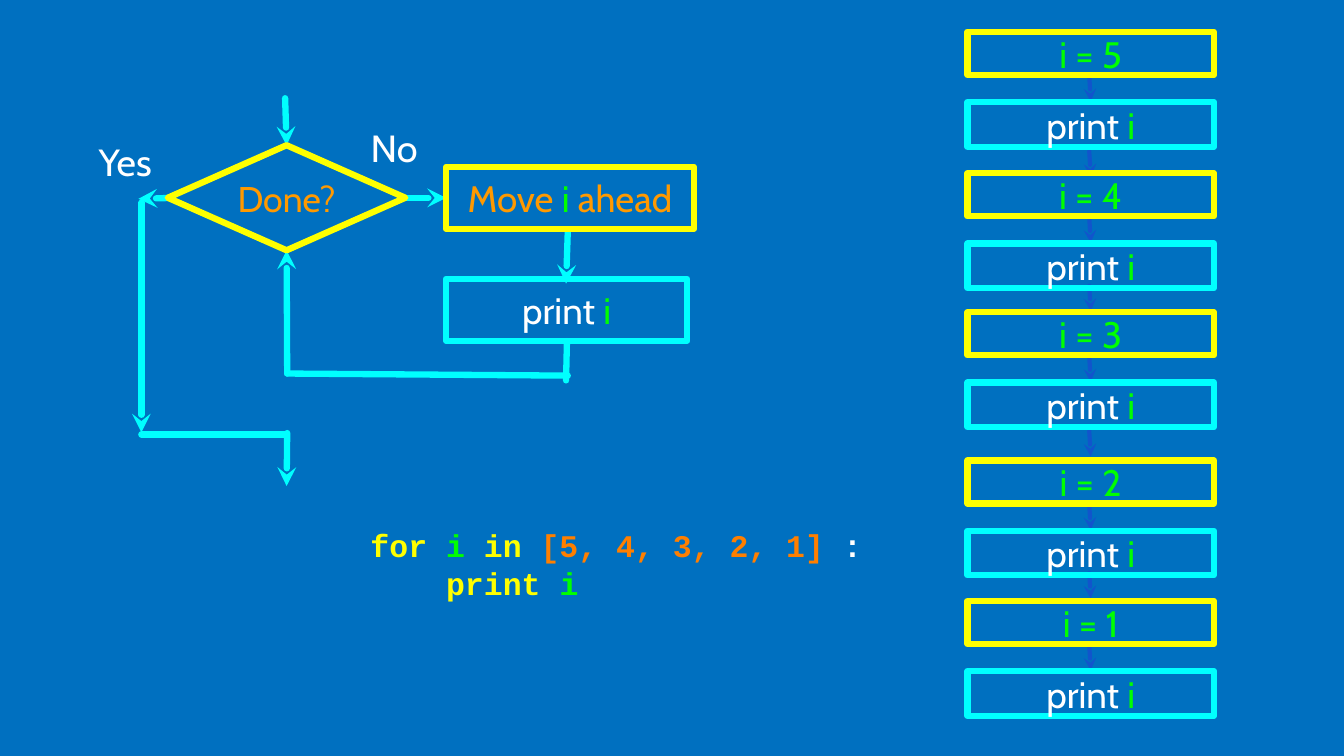
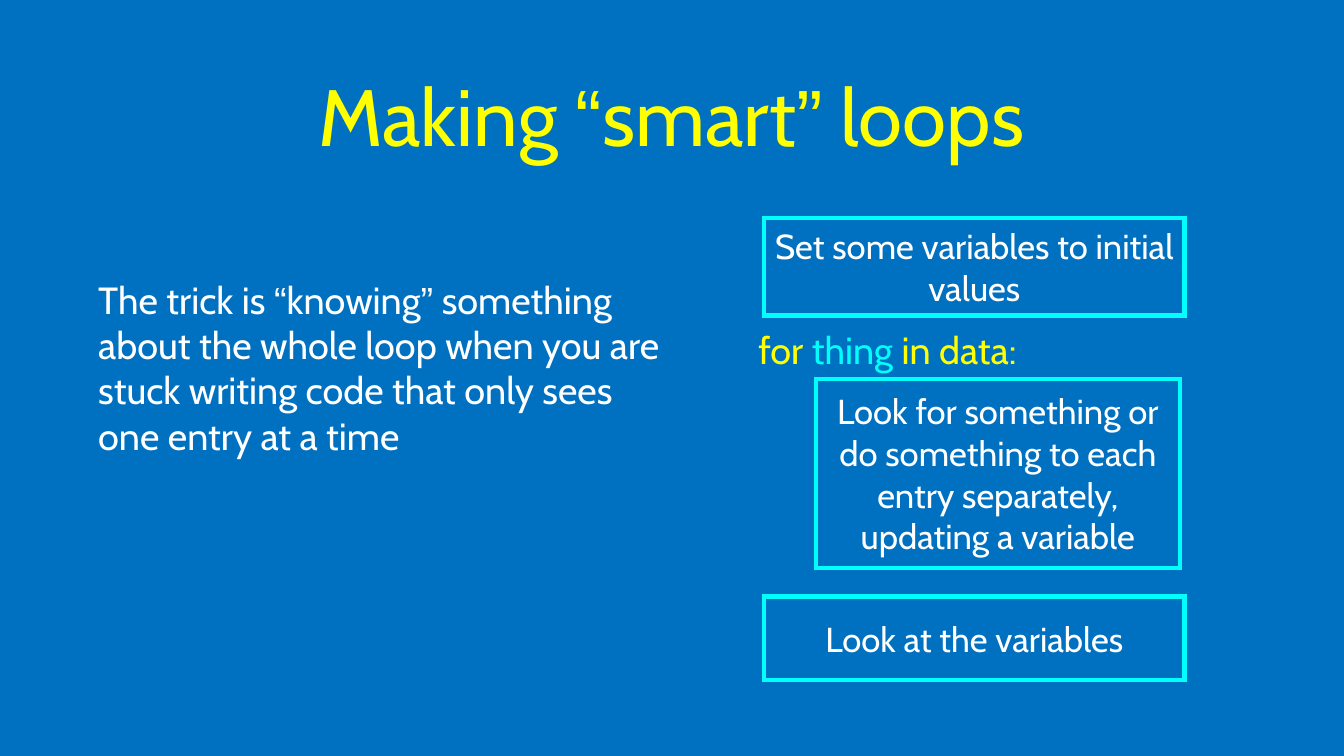
"""Builds two slides on loops: a flow chart with its trace, and the smart loop pattern."""
from lxml import etree
from pptx import Presentation, util as u
from pptx.dml.color import RGBColor
from pptx.enum import shapes as s, text as t
from pptx.oxml.ns import qn

hues = {
    "back": "0070C0", "cyan": "00FFFF", "gold": "FFFF00", "white": "FFFFFF",
    "green": "00FF00", "amber": "FF9900", "orange": "FF7F00", "navy": "1155CC",
}
hues = {name: RGBColor.from_string(code) for name, code in hues.items()}
rect, gem = s.MSO_SHAPE.RECTANGLE, s.MSO_SHAPE.DIAMOND
mid, left = t.PP_ALIGN.CENTER, t.PP_ALIGN.LEFT


def block(page, at, rows, size, edge=None, width=6, kind=rect, align=mid, pad=0, join="round"):
    place = [u.Cm(n) for n in at]
    if edge:
        shape = page.shapes.add_shape(kind, *place)
        shape.shadow.inherit = False
        shape.fill.background()
        shape.line.color.rgb = hues[edge]
        shape.line.width = u.Pt(width)
        etree.SubElement(shape.line._get_or_add_ln(), qn("a:" + join))
    else:
        shape = page.shapes.add_textbox(*place)
    frame = shape.text_frame
    frame.word_wrap = True
    frame.vertical_anchor = t.MSO_ANCHOR.MIDDLE
    frame.margin_left = frame.margin_right = u.Cm(pad)
    frame.margin_top = frame.margin_bottom = u.Cm(pad)
    for n, row in enumerate(rows):
        para = frame.add_paragraph() if n else frame.paragraphs[0]
        para.alignment = align
        for words, hue, *face in row:
            run = para.add_run()
            run.text = words
            run.font.size = u.Pt(size)
            run.font.name = face[0] if face else "Cabin"
            run.font.bold = run.font.name == "Courier New"
            run.font.color.rgb = hues[hue]
    return frame


def wire(page, ends, hue="cyan", width=6, tip=True):
    link = page.shapes.add_connector(s.MSO_CONNECTOR.STRAIGHT, *[u.Cm(n) for n in ends])
    link.line.color.rgb = hues[hue]
    link.line.width = u.Pt(width)
    ln = link.line._get_or_add_ln()
    ln.set("cap", "rnd")
    etree.SubElement(ln, qn("a:round"))
    if tip:
        etree.SubElement(ln, qn("a:tailEnd"), type="stealth")
    etree.SubElement(link._element.spPr, qn("a:effectLst"))


deck = Presentation()
deck.slide_width, deck.slide_height = u.Cm(45.16), u.Cm(25.4)
fill = deck.slide_master.background.fill
fill.solid()
fill.fore_color.rgb = hues["back"]
flow, smart = [deck.slides.add_slide(deck.slide_layouts[6]) for _ in range(2)]

arrows = [
    (9.58, 3.3, 9.63, 4.88),
    (9.65, 12.55, 9.63, 8.41),
    (19.08, 7.75, 19.02, 9.53),
    (5.77, 6.65, 4.65, 6.68),
    (9.65, 14.55, 9.63, 16.33),
    (4.75, 6.81, 4.75, 14.53),
    (13.67, 6.65, 14.99, 6.65),
]
joints = [
    (19.05, 11.46, 19.02, 12.78),
    (9.65, 12.55, 19.08, 12.62),
    (4.75, 14.6, 9.6, 14.6),
]
for ends in arrows:
    wire(flow, ends)
for ends in joints:
    wire(flow, ends, tip=False)

show = [[("print ", "white"), ("i", "green")]]
move = [[("Move ", "amber"), ("i", "green"), (" ahead", "amber")]]
block(flow, (5.64, 4.88, 7.98, 3.53), [[("Done?", "amber")]], 34, "gold", kind=gem)
block(flow, (14.99, 9.37, 8.1, 2.08), show, 35, "cyan")
block(flow, (14.99, 5.61, 8.33, 2.08), move, 35, "gold")
for word, x, y in [("Yes", 3.2, 4.55), ("No", 12.24, 4.09)]:
    block(flow, (x, y, 2.01, 1.73), [[(word, "white")]], 36)

tops = [1.07, 5.82, 10.49, 15.47, 20.19]
drops = [5.08, 9.6, 14.48, 19.25]
for y in [top + 1.48 for top in tops] + drops:
    wire(flow, (36.6, y, 36.65, y + 0.85), "navy", 4)
for n, top in enumerate(tops):
    block(flow, (32.51, top + 2.36, 8.28, 1.5), show, 35, "cyan")
    block(flow, (32.51, top, 8.28, 1.45), [[(f"i = {5 - n}", "green")]], 35, "gold")

mono = "Courier New"
code = [
    [("for ", "gold", mono), ("i ", "green", mono), ("in ", "gold", mono),
     ("[5, 4, 3, 2, 1] ", "orange", mono), (":", "white", mono)],
    [("print ", "gold", mono), ("i", "green", mono)],
]
frame = block(flow, (12.45, 17.37, 17.4, 3.18), code, 30, align=left)
frame.paragraphs[1]._p.get_or_add_pPr().set("marL", str(u.Cm(2.54)))

title = [("Making ", "gold"), ("“", "gold", "Arial"), ("smart", "gold"),
         ("”", "gold", "Arial"), (" loops", "gold")]
trick = [("The trick is ", "white"), ("“", "white", "Arial"), ("knowing", "white"),
         ("”", "white", "Arial"),
         (" something about the whole loop when you are stuck writing code "
          "that only sees one entry at a time", "white")]
block(smart, (3.2, 0.66, 38.71, 6.38), [title], 76, pad=0.1)
block(smart, (3.2, 7.67, 19.28, 9.32), [trick], 36, align=left, pad=0.1)

steps = [
    ("Set some variables to initial values", (25.68, 7.32, 14.12, 3.28)),
    ("Look for something or do something to each entry separately, updating a variable",
     (27.41, 12.73, 12.24, 6.35)),
    ("Look at the variables", (25.68, 20.04, 14.12, 2.82)),
]
for words, at in steps:
    block(smart, at, [[(words, "white")]], 33, "cyan", 4, join="miter")
loop = [("for ", "gold"), ("thing", "cyan"), (" in data:", "gold")]
block(smart, (25.45, 10.87, 8.74, 1.73), [loop], 36)

deck.save("out.pptx")
